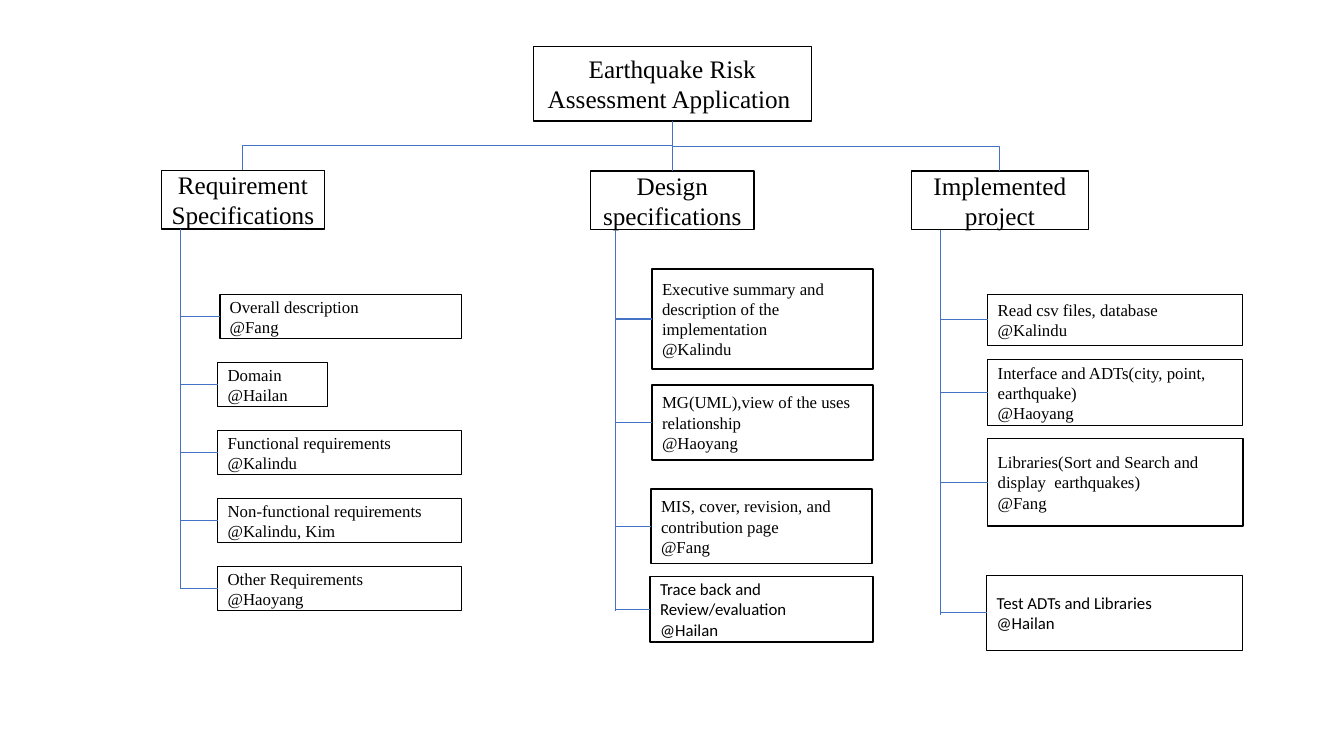
from dataclasses import dataclass

from lxml.etree import SubElement
from pptx import Presentation
from pptx.dml.color import RGBColor
from pptx.enum.shapes import MSO_CONNECTOR as CONN, MSO_SHAPE as SHAPE
from pptx.enum.text import MSO_ANCHOR as ANCHOR, PP_ALIGN as ALIGN
from pptx.oxml.ns import qn
from pptx.util import Pt


@dataclass(frozen=True)
class Theme:
    """Colours, fonts, type sizes and line widths."""
    ink: RGBColor = RGBColor(0, 0, 0)
    link: RGBColor = RGBColor(0x44, 0x72, 0xC4)
    serif: str = "Times New Roman"
    sans: str = "Calibri"
    head: float = 18
    body: float = 12
    border: float = 1
    wire: float = 0.75


T = Theme()
ROOT = (380.9, 33.1, 198.7, 53.3)
BRANCHES = [
    ("Requirement Specifications", (115.2, 121.7, 116.6, 41.9), 13.7, 420.5, [
        ("Overall description", "@Fang", (157, 210.2, 172.5, 31.7), T.serif),
        ("Domain", "@Hailan", (155.5, 258.8, 78.5, 31.7), T.serif),
        ("Functional requirements", "@Kalindu", (155.5, 307.4, 174.2, 31.7), T.serif),
        ("Non-functional requirements", "@Kalindu, Kim", (155.5, 356, 174.2, 31.7), T.serif),
        ("Other Requirements", "@Haoyang", (155.5, 404.6, 174.2, 31.7), T.serif),
    ]),
    ("Design specifications", (421.9, 122.3, 116.6, 41.9), 18, 436.3, [
        ("Executive summary and description of the implementation", "@Kalindu",
         (465.8, 192.2, 157.7, 71.3), T.serif),
        ("MG(UML),view of the uses relationship", "@Haoyang",
         (465.8, 275, 157.7, 53.5), T.serif),
        ("MIS, cover, revision, and contribution page", "@Fang",
         (465.1, 349.2, 157.7, 53.5), T.serif),
        ("Trace back and  Review/evaluation", "@Hailan",
         (464.4, 411.8, 159.1, 46.8), T.sans),
    ]),
    ("Implemented project", (650.9, 122.3, 126.7, 41.9), 20.7, 439.2, [
        ("Read csv files, database", "@Kalindu", (705.6, 210.2, 181.8, 36.7), T.serif),
        ("Interface and ADTs(city, point, earthquake)", "@Haoyang",
         (705.6, 257, 181.8, 46.8), T.serif),
        ("Libraries(Sort and Search and display  earthquakes)", "@Fang",
         (705.6, 313.2, 182.2, 62.6), T.serif),
        ("Test ADTs and Libraries", "@Hailan", (704.9, 411.1, 182.6, 53.5), T.sans),
    ]),
]


def add_box(s, box, lines, size, font=T.serif, align=ALIGN.LEFT):
    """Draw an outlined box with one paragraph per line."""
    sp = s.shapes.add_shape(SHAPE.RECTANGLE, *map(Pt, box))
    sp.shadow.inherit = False
    sp.fill.background()
    sp.line.color.rgb = T.ink
    sp.line.width = Pt(T.border)
    tf = sp.text_frame
    tf.word_wrap = True
    tf.vertical_anchor = ANCHOR.MIDDLE
    for i, line in enumerate(lines):
        p = tf.add_paragraph() if i else tf.paragraphs[0]
        p.alignment = align
        r = p.add_run()
        r.text = line
        r.font.name = font
        r.font.size = Pt(size)
        r.font.color.rgb = T.ink


def add_link(s, x1, y1, x2, y2, kind=CONN.STRAIGHT):
    """Draw a thin connector without a shadow."""
    c = s.shapes.add_connector(kind, Pt(x1), Pt(y1), Pt(x2), Pt(y2))
    c.line.color.rgb = T.link
    c.line.width = Pt(T.wire)
    SubElement(c._element.spPr, qn("a:effectLst"))
    return c


def add_drop(s, x1, y1, x2, y2):
    """Link downwards, with an elbow turned upright when the ends differ in x."""
    dx, dy = x2 - x1, y2 - y1
    if abs(dx) < 1:
        add_link(s, x1, y1, x1, y2)
        return
    cx, cy = (x1 + x2) / 2, (y1 + y2) / 2
    half_w = dy / 2 if dx > 0 else -dy / 2
    half_h = abs(dx) / 2
    c = add_link(s, cx + half_w, cy - half_h, cx - half_w, cy + half_h, CONN.ELBOW)
    degrees = 270 if dx > 0 else 90
    c._element.spPr.find(qn("a:xfrm")).set("rot", str(degrees * 60000))


def add_branch(s, title, box, inset, trunk_end, tasks):
    """Draw a branch heading, its tasks, the trunk and the stubs."""
    x, y, w, h = box
    trunk = x + inset
    add_box(s, box, [title], T.head, align=ALIGN.CENTER)
    for task, owner, area, font in tasks:
        add_box(s, area, [task, owner], T.body, font)
    add_link(s, trunk, y + h, trunk, trunk_end)
    for _, _, (left, top, _, height), _ in tasks:
        mid = top + height / 2
        add_link(s, left, mid, trunk, mid)


def add_tree(s, root, branches):
    """Draw the root box and hang every branch below it."""
    x, y, w, h = root
    add_box(s, root, ["Earthquake Risk Assessment Application "], T.head, align=ALIGN.CENTER)
    for branch in branches:
        add_branch(s, *branch)
        bx, by, bw, _ = branch[1]
        add_drop(s, x + w / 2, y + h, bx + bw / 2, by)


def main():
    """Build the one-slide work breakdown."""
    prs = Presentation()
    prs.slide_width, prs.slide_height = Pt(960), Pt(540)
    s = prs.slides.add_slide(prs.slide_layouts[6])
    add_tree(s, ROOT, BRANCHES)
    prs.save("out.pptx")


if __name__ == "__main__":
    main()
